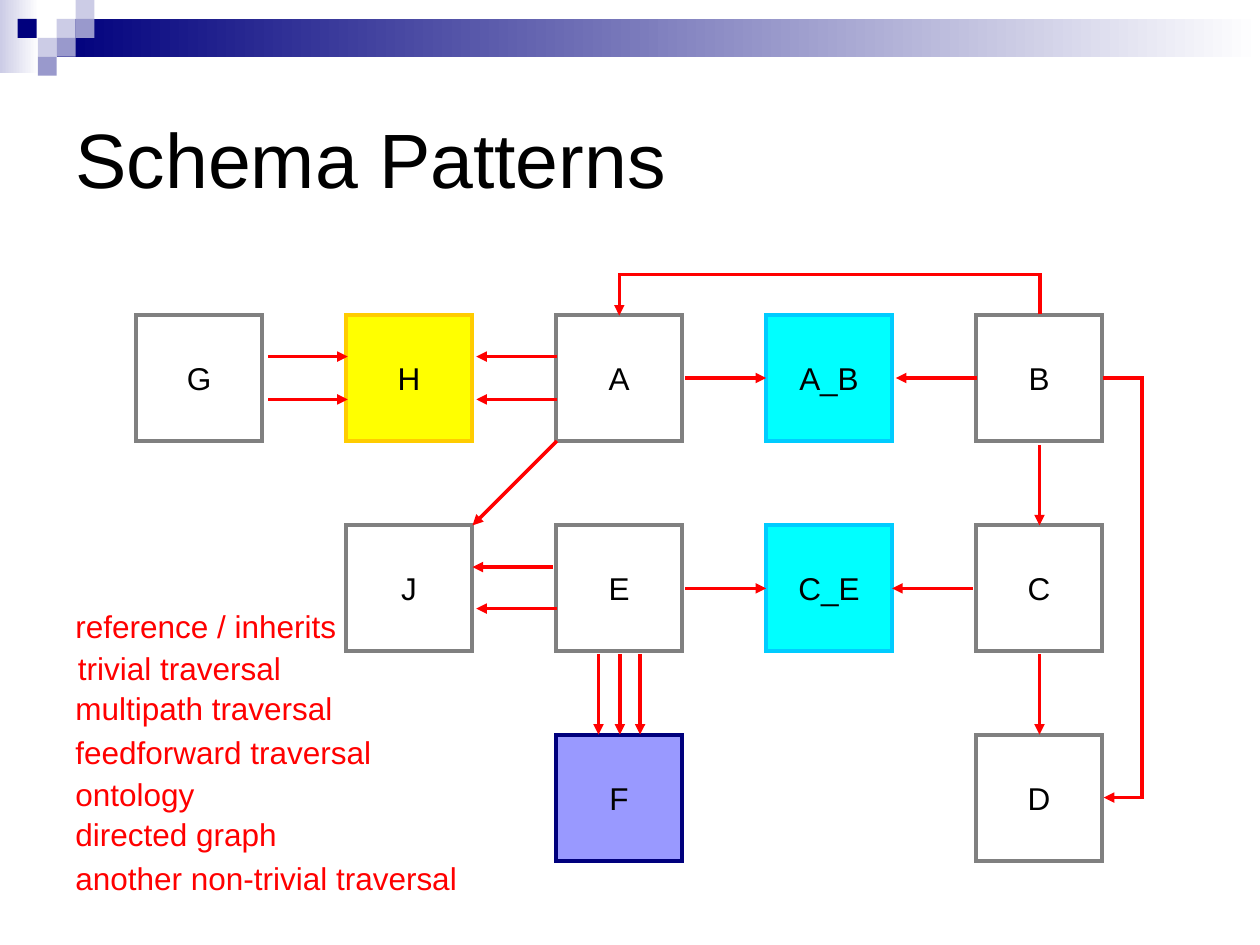
from lxml import etree
from pptx import Presentation
from pptx.dml.color import RGBColor
from pptx.enum import shapes, text
from pptx.oxml.ns import qn
from pptx.util import Inches, Pt

BLACK = RGBColor(0x00, 0x00, 0x00)
WHITE = RGBColor(0xFF, 0xFF, 0xFF)
RED = RGBColor(0xFF, 0x00, 0x00)
GRAY = RGBColor(0x80, 0x80, 0x80)
NAVY = RGBColor(0x00, 0x00, 0x7D)
LAVENDER = RGBColor(0xCC, 0xCC, 0xE6)
PERIWINKLE = RGBColor(0x99, 0x99, 0xCC)
CYAN = RGBColor(0x00, 0xFF, 0xFF)
SKY = RGBColor(0x00, 0xCC, 0xFF)
YELLOW = RGBColor(0xFF, 0xFF, 0x00)
AMBER = RGBColor(0xFF, 0xCC, 0x00)
VIOLET = RGBColor(0x99, 0x99, 0xFF)

STRAIGHT = shapes.MSO_CONNECTOR.STRAIGHT
ELBOW = shapes.MSO_CONNECTOR.ELBOW
RECTANGLE = shapes.MSO_SHAPE.RECTANGLE


def write(shape, words, size, color, align, anchor, wrap):
    frame = shape.text_frame
    frame.text = words
    frame.word_wrap = wrap
    frame.vertical_anchor = anchor
    paragraph = frame.paragraphs[0]
    paragraph.alignment = align
    font_format = {"name": "Arial", "size": Pt(size)}
    for name, value in font_format.items():
        setattr(paragraph.font, name, value)
    paragraph.font.color.rgb = color


def add_arrow(kind, start_x, start_y, end_x, end_y):
    arrow = slide.shapes.add_connector(
        kind, Inches(start_x), Inches(start_y), Inches(end_x), Inches(end_y))
    arrow.line.color.rgb = RED
    arrow.line.width = Pt(2)
    properties = arrow._element.spPr
    outline = properties.find(qn("a:ln"))
    etree.SubElement(outline, qn("a:miter"), lim="800000")
    etree.SubElement(outline, qn("a:tailEnd"), type="triangle")
    etree.SubElement(properties, qn("a:effectLst"))
    return arrow


presentation = Presentation()
presentation.slide_width = Inches(10)
presentation.slide_height = Inches(7.5)
slide = presentation.slides.add_slide(presentation.slide_layouts[5])

# Header decoration: two fading bars and a mosaic of small squares
TILE = 0.15
decoration = [
    (0, 0, 0.31, 0.58, LAVENDER, True),
    (0.45, 0.15, 9.55, 0.3, NAVY, True),
]
for left, top, color in [
    (0.45, 0.15, LAVENDER), (0.6, 0, LAVENDER), (0.6, 0.15, PERIWINKLE),
    (0.3, 0.3, LAVENDER), (0.14, 0.15, NAVY), (0.45, 0.3, PERIWINKLE),
    (0.3, 0.45, PERIWINKLE),
]:
    decoration.append((left, top, TILE, TILE, color, False))

for left, top, width, height, color, fades in decoration:
    shape = slide.shapes.add_shape(
        RECTANGLE, Inches(left), Inches(top), Inches(width), Inches(height))
    shape.shadow.inherit = False
    shape.line.fill.background()
    if fades:
        shape.fill.gradient()
        shape.fill.gradient_angle = 0
        for stop, stop_color in zip(shape.fill.gradient_stops, (color, WHITE)):
            stop.color.rgb = stop_color
    else:
        shape.fill.solid()
        shape.fill.fore_color.rgb = color

title = slide.shapes.title
title_place = {"left": 0.5, "top": 0.5, "width": 9, "height": 1.5}
for name, value in title_place.items():
    setattr(title, name, Inches(value))
write(title, "Schema Patterns", 44, BLACK,
      text.PP_ALIGN.LEFT, text.MSO_ANCHOR.MIDDLE, True)

# Schema nodes on a grid: label, column, row, fill, outline
PITCH = 5 / 3
GRID_LEFT, GRID_TOP = 1.08, 2.5
nodes = [
    ("G", 0, 0, None, GRAY),
    ("H", 1, 0, YELLOW, AMBER),
    ("A", 2, 0, None, GRAY),
    ("A_B", 3, 0, CYAN, SKY),
    ("B", 4, 0, None, GRAY),
    ("J", 1, 1, None, GRAY),
    ("E", 2, 1, None, GRAY),
    ("C_E", 3, 1, CYAN, SKY),
    ("C", 4, 1, None, GRAY),
    ("F", 2, 2, VIOLET, NAVY),
    ("D", 4, 2, None, GRAY),
]
for label, column, row, fill, outline in nodes:
    node = slide.shapes.add_shape(
        RECTANGLE, Inches(GRID_LEFT + column * PITCH),
        Inches(GRID_TOP + row * PITCH), Inches(1), Inches(1))
    node.shadow.inherit = False
    if fill is None:
        node.fill.background()
    else:
        node.fill.solid()
        node.fill.fore_color.rgb = fill
    node.line.color.rgb = outline
    node.line.width = Pt(2)
    etree.SubElement(node._element.spPr.find(qn("a:ln")), qn("a:miter"), lim="800000")
    write(node, label, 18, BLACK,
          text.PP_ALIGN.CENTER, text.MSO_ANCHOR.MIDDLE, False)

# Each pattern: label, its place and width, and the straight arrows it names
patterns = [
    ("reference / inherits", 0.5, 4.77, 2.27,
     [(8.25, 3.53, 8.25, 4.17), (8.25, 5.19, 8.25, 5.83)]),
    ("trivial traversal", 0.52, 5.1, 1.81,
     [(5.44, 4.67, 6.08, 4.67), (7.72, 4.67, 7.08, 4.67)]),
    ("multipath traversal", 0.5, 5.42, 2.24,
     [(5.44, 3, 6.08, 3), (7.75, 3, 7.11, 3)]),
    ("feedforward traversal", 0.5, 5.77, 2.55, []),
    ("ontology", 0.5, 6.1, 1.2,
     [(x, 5.19, x, 5.83) for x in (4.75, 4.92, 5.08)]),
    ("directed graph", 0.5, 6.42, 1.85,
     [(4.39, 4.5, 3.75, 4.5), (4.42, 4.83, 3.78, 4.83), (4.42, 3.5, 3.75, 4.17)]),
    ("another non-trivial traversal", 0.5, 6.77, 3.27,
     [(start, y, end, y) for start, end in ((4.42, 3.78), (2.13, 2.76))
      for y in (2.83, 3.17)]),
]
for label, left, top, width, arrows in patterns:
    legend = slide.shapes.add_textbox(
        Inches(left), Inches(top), Inches(width), Inches(0.4))
    write(legend, label, 18, RED,
          text.PP_ALIGN.LEFT, text.MSO_ANCHOR.TOP, False)
    for ends in arrows:
        add_arrow(STRAIGHT, *ends)

# Bent arrows B to D and B to A; the bend lies far outside a very thin box
THICKNESS = 0.01
BEND = 0.32
for left, top, bottom, turn, side in [
    (8.75, 3, 6.33, 0, 1),
    (6.58, 0.83, 4.17, 90, -1),
]:
    bent = add_arrow(ELBOW, left, top, left + THICKNESS, bottom)
    properties = bent._element.spPr
    properties.find(qn("a:xfrm")).set("rot", str(turn * 60000))
    adjustments = properties.find(qn("a:prstGeom")).find(qn("a:avLst"))
    offset = round(side * BEND / THICKNESS * 100000)
    etree.SubElement(adjustments, qn("a:gd"), name="adj1", fmla=f"val {offset}")

presentation.save("out.pptx")
